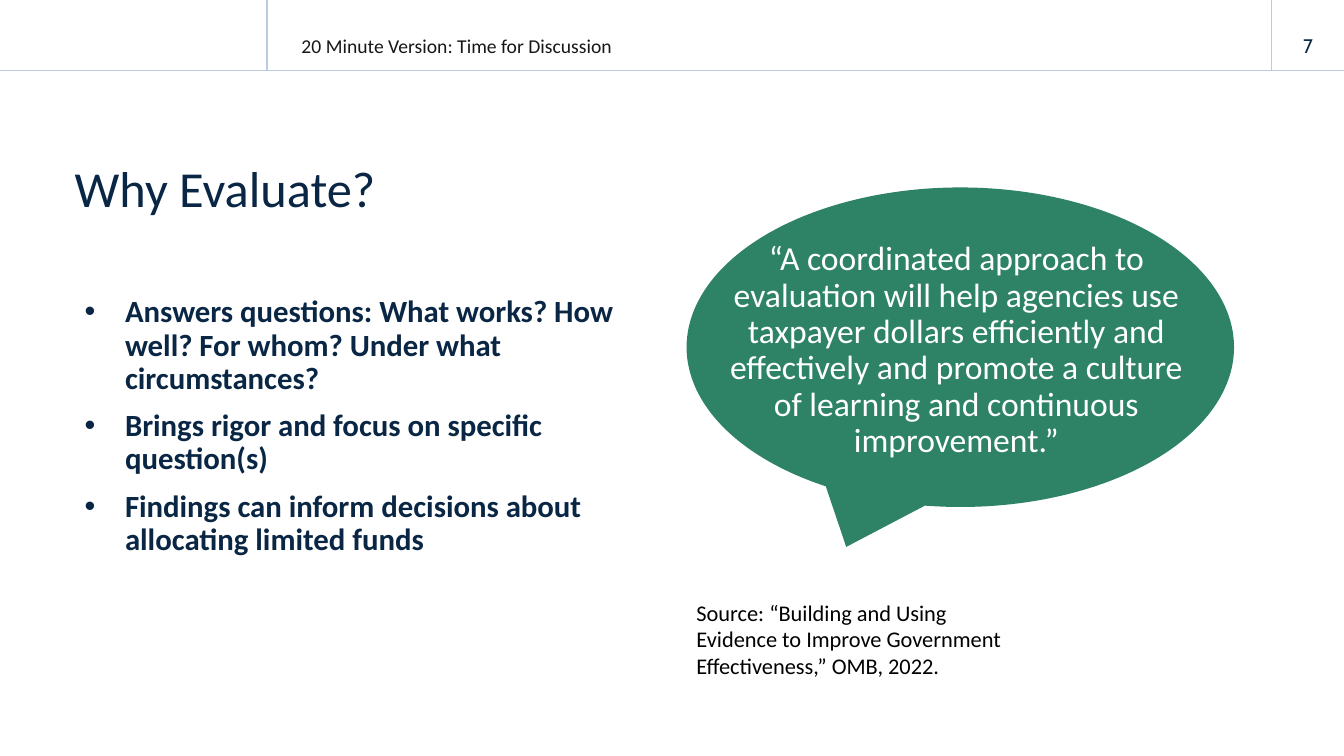
from dataclasses import dataclass

from lxml import etree
from pptx import Presentation
from pptx.dml.color import RGBColor
from pptx.enum.shapes import MSO_CONNECTOR, MSO_SHAPE
from pptx.enum.text import MSO_ANCHOR, MSO_AUTO_SIZE, PP_ALIGN
from pptx.oxml.ns import qn
from pptx.util import Inches, Pt

STRAIGHT = MSO_CONNECTOR.STRAIGHT
CALLOUT = MSO_SHAPE.OVAL_CALLOUT
TOP, MIDDLE, BOTTOM = MSO_ANCHOR.TOP, MSO_ANCHOR.MIDDLE, MSO_ANCHOR.BOTTOM
LEFT, CENTER = PP_ALIGN.LEFT, PP_ALIGN.CENTER
FIXED, GROW = MSO_AUTO_SIZE.NONE, MSO_AUTO_SIZE.SHAPE_TO_FIT_TEXT
COMPARISON_LAYOUT = 4


@dataclass(frozen=True)
class Theme:
    navy: str = "0A2645"
    ink: str = "171717"
    black: str = "000000"
    white: str = "FFFFFF"
    green: str = "2E8367"
    rule: str = "BBCAE3"
    body_font: str = "Calibri"
    number_font: str = "Cabin"
    title_size: int = 36
    quote_size: int = 24
    list_size: int = 22
    source_size: int = 16
    header_size: int = 14
    rule_width: int = 1


THEME = Theme()


@dataclass(frozen=True)
class Box:
    left: float
    top: float
    width: float
    height: float

    def lengths(self):
        return [Inches(v) for v in (self.left, self.top, self.width, self.height)]


@dataclass(frozen=True)
class Rule:
    x1: float
    y1: float
    x2: float
    y2: float


@dataclass(frozen=True)
class TextBlock:
    box: Box
    lines: tuple[str, ...]
    size: int
    color: str
    font: str = THEME.body_font
    bold: bool = False
    anchor: MSO_ANCHOR = TOP
    align: PP_ALIGN = LEFT
    insets: tuple[float, ...] = (0, 0.05, 0.1, 0.05)
    margin: float = 0
    indent: float = 0
    line_spacing: float = 1.0
    space_before: int = 0
    bullet: str = ""
    auto_size: MSO_AUTO_SIZE = FIXED


BAND_HEIGHT = 0.7
SLIDE_WIDTH, SLIDE_HEIGHT = 13.33, 7.5
DIVIDERS = (2.65, 12.61)
RULES = (
    Rule(0, BAND_HEIGHT, SLIDE_WIDTH, BAND_HEIGHT),
    *(Rule(x, 0, x, BAND_HEIGHT) for x in DIVIDERS),
)
CALLOUT_BOX = Box(6.81, 1.86, 5.43, 3.17)

TITLE = TextBlock(Box(0.74, 1.15, 4.39, 1.49), ("Why Evaluate?",),
                  THEME.title_size, THEME.navy, anchor=MIDDLE, line_spacing=0.9)
HEADER = TextBlock(Box(2.99, 0.25, 3.98, 0.32),
                   ("20 Minute Version: Time for Discussion",),
                   THEME.header_size, THEME.ink, anchor=BOTTOM, insets=(0, 0.05, 0.1, 0))
REASONS = TextBlock(
    Box(0.74, 2.89, 5.64, 3.79),
    ("Answers questions: What works? How well? For whom? Under what circumstances?",
     "Brings rigor and focus on specific question(s)",
     "Findings can inform decisions about allocating limited funds"),
    THEME.list_size, THEME.navy, bold=True, margin=0.5, indent=-0.4,
    line_spacing=0.9, space_before=10, bullet="•")
QUOTE = TextBlock(
    Box(6.97, 2.35, 5.03, 3.62),
    ("“A coordinated approach to evaluation will help agencies use taxpayer dollars "
     "efficiently and effectively and promote a culture of learning and continuous "
     "improvement.”",),
    THEME.quote_size, THEME.white, align=CENTER, margin=0.1,
    line_spacing=0.9, space_before=10)
PAGE_NUMBER = TextBlock(Box(12.61, 0.25, 0.73, 0.4), ("7",), THEME.header_size,
                        THEME.navy, font=THEME.number_font, anchor=MIDDLE,
                        align=CENTER, insets=(0.1, 0.05, 0.1, 0.05))
SOURCE = TextBlock(
    Box(6.81, 5.89, 3.46, 0.91),
    ("Source: “Building and Using Evidence to Improve Government Effectiveness,” "
     "OMB, 2022.",),
    THEME.source_size, THEME.black, insets=(0.1, 0.05, 0.1, 0.05), auto_size=GROW)


def rgb(color: str) -> RGBColor:
    return RGBColor.from_string(color)


def apply(target, values: dict) -> None:
    for name, value in values.items():
        setattr(target, name, value)


def set_list_format(para, block: TextBlock) -> None:
    """Set the indents and the bullet of a paragraph after its spacing is set."""
    properties = para._p.get_or_add_pPr()
    properties.set("marL", str(Inches(block.margin)))
    properties.set("indent", str(Inches(block.indent)))
    if not block.bullet:
        etree.SubElement(properties, qn("a:buNone"))
        return
    color = etree.SubElement(properties, qn("a:buClr"))
    etree.SubElement(color, qn("a:srgbClr"), val=block.color)
    etree.SubElement(properties, qn("a:buFont"), typeface="Arial")
    etree.SubElement(properties, qn("a:buChar"), char=block.bullet)


def write_text(shape, block: TextBlock) -> None:
    apply(shape, dict(zip(("left", "top", "width", "height"), block.box.lengths())))
    frame = shape.text_frame
    apply(frame, {"word_wrap": True, "auto_size": block.auto_size,
                  "vertical_anchor": block.anchor})
    sides = ("margin_left", "margin_top", "margin_right", "margin_bottom")
    apply(frame, {side: Inches(inset) for side, inset in zip(sides, block.insets)})
    for index, line in enumerate(block.lines):
        para = frame.add_paragraph() if index else frame.paragraphs[0]
        apply(para, {"alignment": block.align, "line_spacing": block.line_spacing,
                     "space_before": Pt(block.space_before)})
        set_list_format(para, block)
        span = para.add_run()
        span.text = line
        apply(span.font, {"name": block.font, "size": Pt(block.size), "bold": block.bold})
        span.font.color.rgb = rgb(block.color)


def draw_rule(page, rule: Rule) -> None:
    ends = [Inches(v) for v in (rule.x1, rule.y1, rule.x2, rule.y2)]
    line = page.shapes.add_connector(STRAIGHT, *ends)
    line.line.color.rgb = rgb(THEME.rule)
    line.line.width = Pt(THEME.rule_width)
    etree.SubElement(line.element.spPr, qn("a:effectLst"))


def draw_callout(page):
    callout = page.shapes.add_shape(CALLOUT, *CALLOUT_BOX.lengths())
    callout.shadow.inherit = False
    callout.fill.solid()
    callout.fill.fore_color.rgb = rgb(THEME.green)
    callout.line.fill.background()
    return callout


def main() -> None:
    deck = Presentation()
    deck.slide_width, deck.slide_height = Inches(SLIDE_WIDTH), Inches(SLIDE_HEIGHT)
    page = deck.slides.add_slide(deck.slide_layouts[COMPARISON_LAYOUT])
    title, header, reasons, quote, spare = page.placeholders
    spare.element.getparent().remove(spare.element)

    for rule in RULES:
        draw_rule(page, rule)
    for shape, block in ((title, TITLE), (header, HEADER), (reasons, REASONS), (quote, QUOTE)):
        write_text(shape, block)
    title.fill.solid()
    title.fill.fore_color.rgb = rgb(THEME.white)
    draw_callout(page).element.addnext(quote.element)
    for block in (PAGE_NUMBER, SOURCE):
        write_text(page.shapes.add_textbox(*block.box.lengths()), block)
    deck.save("out.pptx")


if __name__ == "__main__":
    main()
